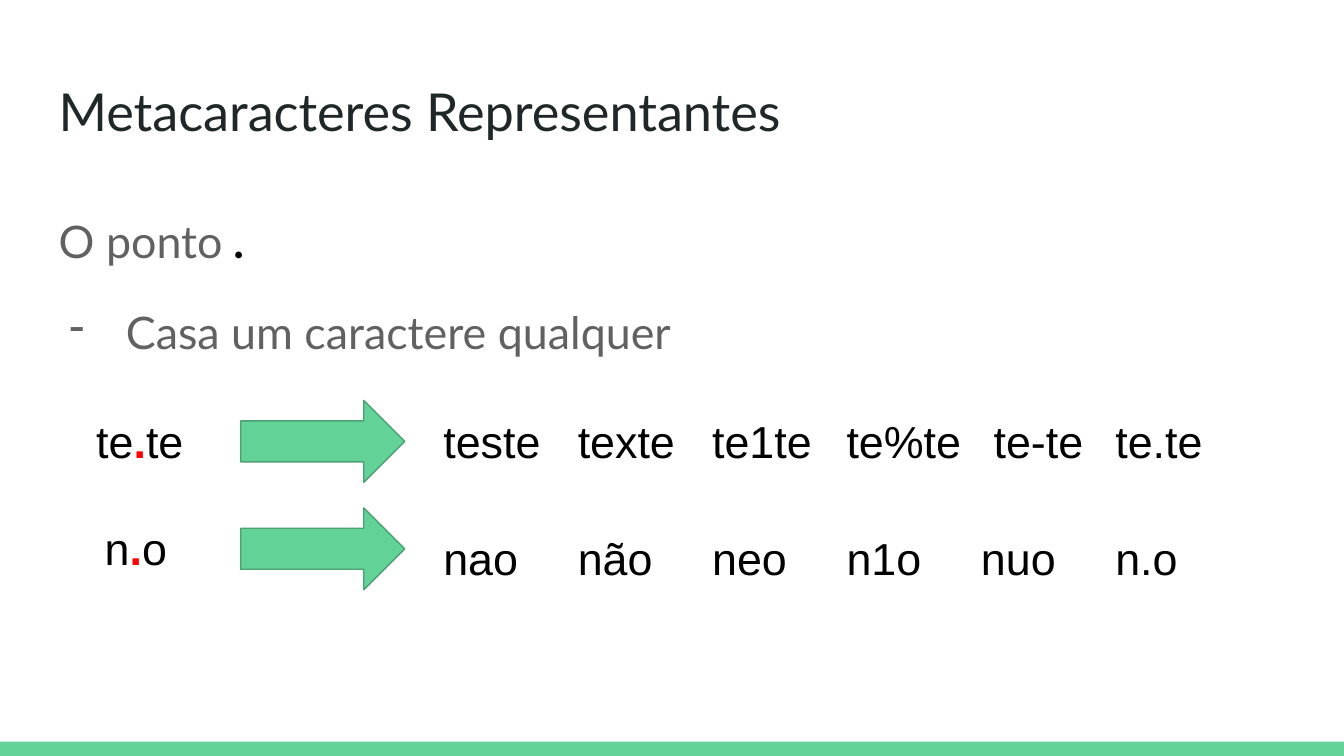
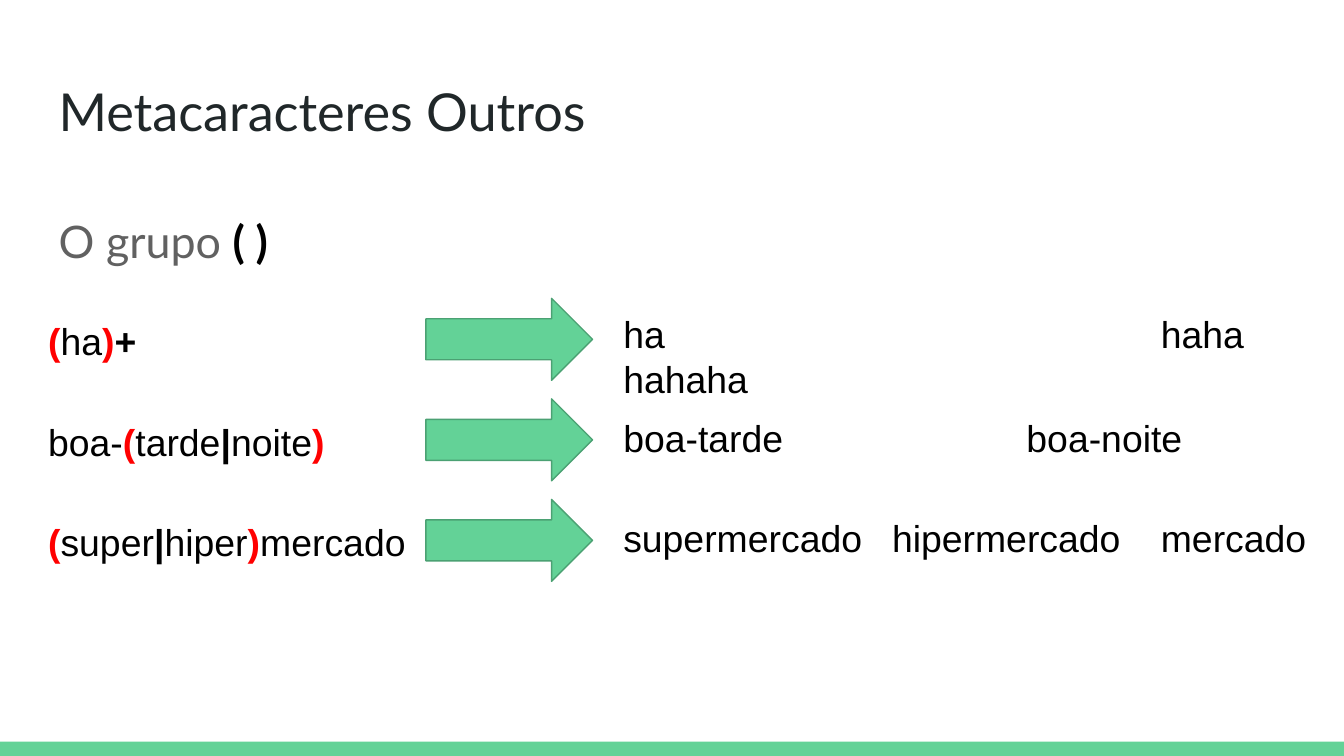
from dataclasses import dataclass

from lxml.etree import SubElement
from pptx import Presentation
from pptx.dml.color import RGBColor
from pptx.enum.shapes import MSO_SHAPE
from pptx.enum.text import MSO_ANCHOR
from pptx.oxml.ns import qn
from pptx.util import Cm, Pt


@dataclass(frozen=True)
class Theme:
    green: str = "63D297"
    edge: str = "4BA173"
    dark: str = "202729"
    gray: str = "616161"
    black: str = "000000"
    red: str = "FF0000"
    head: str = "Lato"
    plain: str = "Arial"
    title: int = 28
    large: int = 24
    small: int = 20


class Deck:
    def __init__(self, theme):
        self.theme = theme
        self.file = Presentation()
        self.file.slide_width, self.file.slide_height = Cm(25.4), Cm(14.29)
        self.slide = None
        # Run looks: colour and weight
        self.looks = {
            "title": (theme.dark, False),
            "body": (theme.gray, False),
            "text": (theme.black, False),
            "bold": (theme.black, True),
            "hot": (theme.red, True),
        }

    def start(self, title):
        """Add a slide with its bottom band and title."""
        self.slide = self.file.slides.add_slide(self.file.slide_layouts[6])
        self.shape(MSO_SHAPE.RECTANGLE, 0, 14.02, 25.4, 0.27)
        theme = self.theme
        self.text(0.86, 1.24, 23.67, 1.6, [(title, "title")], theme.title, theme.head)

    def shape(self, kind, x, y, w, h, edge=None):
        form = self.slide.shapes.add_shape(kind, Cm(x), Cm(y), Cm(w), Cm(h))
        form.shadow.inherit = False
        form.fill.solid()
        form.fill.fore_color.rgb = RGBColor.from_string(self.theme.green)
        if edge:
            form.line.color.rgb = RGBColor.from_string(edge)
            form.line.width = Pt(0.75)
        else:
            form.line.fill.background()

    def arrow(self, x, y, w):
        self.shape(MSO_SHAPE.RIGHT_ARROW, x, y, w, 1.55, self.theme.edge)

    def runs(self, para, parts, size, font):
        for words, look in parts:
            if words == "\n":
                para.add_line_break()
                continue
            run = para.add_run()
            run.text = words
            color, bold = self.looks[look]
            form = {"name": font, "size": Pt(size), "bold": bold}
            for key, value in form.items():
                setattr(run.font, key, value)
            run.font.color.rgb = RGBColor.from_string(color)

    def text(self, x, y, w, h, parts, size, font=None, stops=()):
        box = self.slide.shapes.add_textbox(Cm(x), Cm(y), Cm(w), Cm(h))
        frame = box.text_frame
        form = {"word_wrap": True, "vertical_anchor": MSO_ANCHOR.TOP}
        form |= {f"margin_{side}": Cm(0.25) for side in ("left", "top", "right", "bottom")}
        for key, value in form.items():
            setattr(frame, key, value)
        para = frame.paragraphs[0]
        if stops:
            tabs = SubElement(para._p.get_or_add_pPr(), qn("a:tabLst"))
            for stop in stops:
                SubElement(tabs, qn("a:tab"), pos=str(Cm(stop)), algn="l")
        self.runs(para, parts, size, font or self.theme.plain)
        return frame

    def body(self, h, parts, point=None):
        """Add the intro line and, if given, a dashed point."""
        theme = self.theme
        frame = self.text(0.86, 3.63, 23.67, h, parts, theme.large, theme.head)
        if point:
            para = frame.add_paragraph()
            props = para._p.get_or_add_pPr()
            props.set("marL", str(Cm(1.27)))
            props.set("indent", str(Cm(-1.07)))
            color = SubElement(props, qn("a:buClr"))
            SubElement(color, qn("a:srgbClr"), val=theme.gray)
            SubElement(props, qn("a:buChar"), char="-")
            self.runs(para, [(point, "body")], theme.large, theme.head)
        for para in frame.paragraphs:
            for key, value in {"line_spacing": 1.15, "space_after": Pt(16)}.items():
                setattr(para, key, value)


def dot(deck):
    deck.start("Metacaracteres Representantes")
    deck.body(3.3, [("O ponto", "body"), (" .", "bold")], "Casa um caractere qualquer")

    # Pattern ends, pattern left and width, arrow top, match top, tab stops, matches
    rows = [
        ("te", "te", 1.57, 3.1, 7.57, 7.57, (2.54, 5.08, 7.62, 10.4, 12.7),
         "teste\ttexte\tte1te\tte%te\tte-te\tte.te"),
        ("n", "o", 1.73, 2.82, 9.6, 9.78, (2.54, 5.08, 7.62, 10.16, 12.7),
         "nao\tnão\tneo\tn1o\tnuo\tn.o"),
    ]
    size = deck.theme.large
    for first, last, x, w, y, top, stops, found in rows:
        parts = [(first, "text"), (".", "hot"), (last, "text")]
        deck.text(x, y, w, 2.2, parts, size)
        deck.arrow(4.55, y, 3.1)
        deck.text(8.13, top, 15.67, 2.18, [(found, "text")], size, stops=stops)


def group(deck):
    deck.start("Metacaracteres Outros")
    deck.body(9.04, [("O grupo ", "body"), ("( )", "bold")])

    # Pattern, pattern width, match drop, tab stops, matches
    rows = [
        ([("(", "hot"), ("ha", "text"), (")", "hot"), ("+", "bold")],
         4.7, 0, (10.16,), [("ha\thaha", "text"), ("\n", "text"), ("hahaha", "text")]),
        ([("boa-", "text"), ("(", "hot"), ("tarde", "text"), ("|", "bold"),
          ("noite", "text"), (")", "hot")],
         5.89, 0.05, (7.62,), [("boa-tarde\tboa-noite", "text")]),
        ([("(", "hot"), ("super", "text"), ("|", "bold"), ("hiper", "text"),
          (")", "hot"), ("mercado", "text")],
         7.42, 0.05, (5.08, 10.16), [("supermercado\thipermercado\tmercado", "text")]),
    ]
    size = deck.theme.small
    for row, (parts, w, drop, stops, found) in enumerate(rows):
        y = 5.64 + 1.9 * row
        deck.text(0.66, y + 0.13, w, 1.32, parts, size)
        deck.arrow(8.05, y, 3.15)
        deck.text(11.53, y + drop, 13.44, 1.55, found, size, stops=stops)


def main():
    deck = Deck(Theme())
    dot(deck)
    group(deck)
    deck.file.save("out.pptx")


if __name__ == "__main__":
    main()
